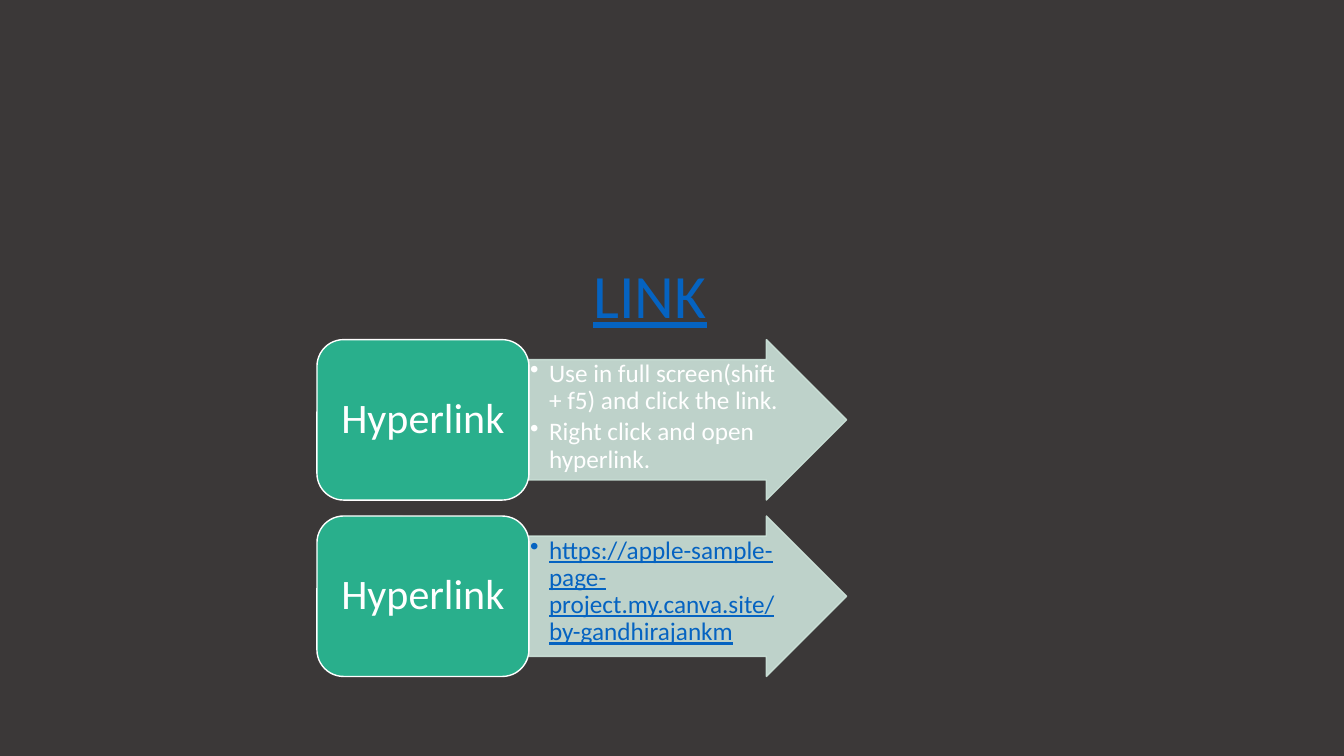
from lxml import etree
from pptx import Presentation
from pptx.dml.color import RGBColor
from pptx.enum.shapes import MSO_SHAPE
from pptx.enum.text import MSO_ANCHOR, PP_ALIGN
from pptx.oxml.ns import qn
from pptx.util import Pt

TITLE = "LINK"
STEPS = [
    {
        "label": "Hyperlink",
        "points": [
            "Use in full screen(shift + f5) and click the link.",
            "Right click and open hyperlink.",
        ],
        "is_link": False,
    },
    {
        "label": "Hyperlink",
        "points": ["https://apple-sample-page-project.my.canva.site/by-gandhirajankm"],
        "is_link": True,
    },
]

BACKGROUND = RGBColor(0x3B, 0x38, 0x38)
LINK_BLUE = RGBColor(0x05, 0x63, 0xC1)
PALE_GREEN = RGBColor(0xCD, 0xE3, 0xDA)
GREEN = RGBColor(0x29, 0xAF, 0x8C)
WHITE = RGBColor(0xFF, 0xFF, 0xFF)
FONT = "Calibri"

ARROW = MSO_SHAPE.RIGHT_ARROW
ROUNDED = MSO_SHAPE.ROUNDED_RECTANGLE
CENTER, LEFT = PP_ALIGN.CENTER, PP_ALIGN.LEFT
MIDDLE, TOP = MSO_ANCHOR.MIDDLE, MSO_ANCHOR.TOP

STEPS_LEFT, STEPS_TOP = 226.4, 242.6
LABEL_WIDTH, ARROW_WIDTH = 151.4, 227
STEP_HEIGHT, STEP_GAP = 114.6, 11.4
BULLET_INDENT = 13.5


def set_opacity(fill_parent, percent):
    for color in fill_parent.iterchildren(qn("a:solidFill")):
        etree.SubElement(color[0], qn("a:alpha"), val=str(percent * 1000))


def add_bullet(paragraph):
    properties = paragraph._p.get_or_add_pPr()
    properties.set("marL", str(Pt(BULLET_INDENT)))
    properties.set("indent", str(-Pt(BULLET_INDENT)))
    etree.SubElement(properties, qn("a:buChar"), char="•")


def write(shape, lines, size, color, align, anchor, margins,
          space_after=0, bulleted=False, underline=False):
    frame = shape.text_frame
    frame.word_wrap = True
    frame.vertical_anchor = anchor
    frame.margin_left = frame.margin_right = Pt(margins[0])
    frame.margin_top = frame.margin_bottom = Pt(margins[1])
    frame.text = "\n".join(lines)
    for paragraph in frame.paragraphs:
        if bulleted:
            add_bullet(paragraph)
        paragraph.alignment = align
        paragraph.line_spacing = 0.9
        paragraph.space_after = Pt(space_after)
        for run in paragraph.runs:
            run.font.name = FONT
            run.font.size = Pt(size)
            run.font.color.rgb = color
            run.font.underline = underline


def add_block(slide, preset, left, top, width, fill, line):
    block = slide.shapes.add_shape(preset, Pt(left), Pt(top), Pt(width), Pt(STEP_HEIGHT))
    block.shadow.inherit = False
    block.fill.solid()
    block.fill.fore_color.rgb = fill
    block.line.color.rgb = line
    block.line.width = Pt(1)
    return block


def add_step(slide, step, top):
    arrow = add_block(slide, ARROW, STEPS_LEFT + LABEL_WIDTH, top, ARROW_WIDTH,
                      PALE_GREEN, PALE_GREEN)
    arrow.adjustments[0] = 0.75
    arrow.adjustments[1] = 0.5
    properties = arrow._element.spPr
    set_opacity(properties, 90)
    set_opacity(properties.find(qn("a:ln")), 90)
    write(arrow, step["points"], 18, LINK_BLUE if step["is_link"] else WHITE,
          LEFT, TOP, (0.9, 0.9), space_after=2.7, bulleted=True,
          underline=step["is_link"])

    label = add_block(slide, ROUNDED, STEPS_LEFT, top, LABEL_WIDTH, GREEN, WHITE)
    write(label, [step["label"]], 30, WHITE, CENTER, MIDDLE, (8.6, 4.3))


def main():
    deck = Presentation()
    deck.slide_width, deck.slide_height = Pt(960), Pt(540)
    slide = deck.slides.add_slide(deck.slide_layouts[6])
    slide.background.fill.solid()
    slide.background.fill.fore_color.rgb = BACKGROUND

    title = slide.shapes.add_textbox(Pt(50.4), Pt(161.3), Pt(828), Pt(104.4))
    write(title, [TITLE], 44, LINK_BLUE, CENTER, MIDDLE, (7.2, 3.6), underline=True)

    for row, step in enumerate(STEPS):
        add_step(slide, step, STEPS_TOP + row * (STEP_HEIGHT + STEP_GAP))
    deck.save("out.pptx")


if __name__ == "__main__":
    main()
